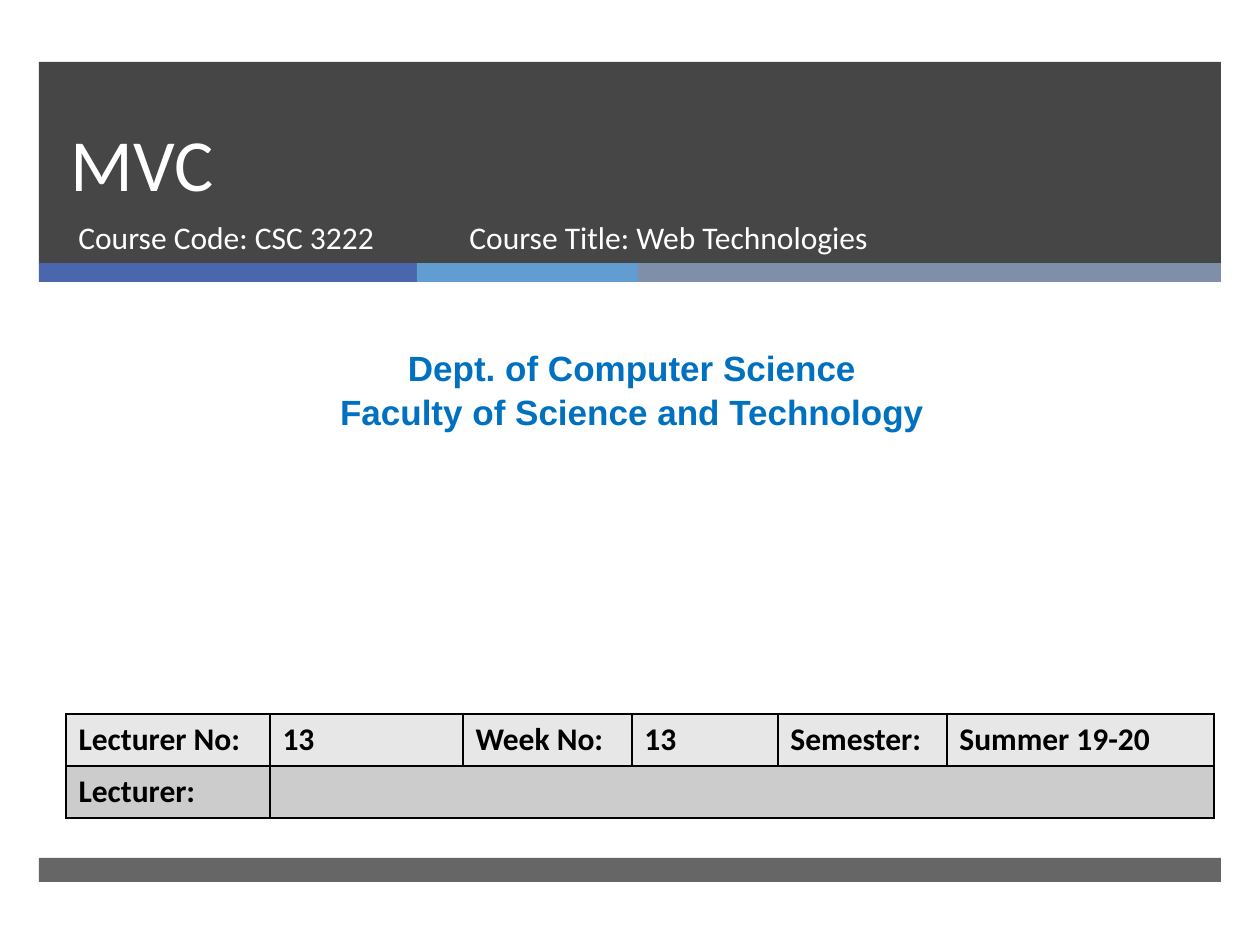
"""Build the title slide of a web technologies lecture on MVC."""
from dataclasses import dataclass

from lxml.etree import SubElement
from pptx import Presentation
from pptx.dml.color import RGBColor
from pptx.enum.shapes import MSO_SHAPE as Shape
from pptx.enum.text import MSO_ANCHOR as Anchor, PP_ALIGN as Align
from pptx.oxml import parse_xml
from pptx.oxml.ns import nsdecls, qn
from pptx.util import Pt


@dataclass(frozen=True)
class Theme:
    dark: str = "262626"
    white: str = "FFFFFF"
    black: str = "000000"
    department: str = "0070C0"
    header_row: str = "E7E7E7"
    lecturer_row: str = "CCCCCC"
    body_font: str = "Calibri"
    department_font: str = "Arial"
    title_size: int = 42
    department_size: int = 20
    body_size: int = 18


THEME = Theme()
PX = 914400 / 126
SLIDE_SIZE = (1260, 945)

TITLE = "MVC"
COURSE_LINES = [
    ("Course Code: CSC 3222", 66, 384),
    ("Course Title: Web Technologies", 457, 573),
]
DEPARTMENT = ["Dept. of Computer Science", "Faculty of Science and Technology"]

LEFT, WIDTH = 39, 1182
BANDS = [(62, 202, 85), (858, 24, 70)]
STRIPES = [("4A66AC", 378), ("629DD1", 221), ("7F8FA9", 583)]
STRIPE_TOP, STRIPE_HEIGHT = 263, 19

TABLE_ROWS = [
    (THEME.header_row, ["Lecturer No:", "13", "Week No:", "13", "Semester:", "Summer 19-20"]),
    (THEME.lecturer_row, ["Lecturer:", "", "", "", "", ""]),
]
TABLE_LEFT, TABLE_TOP, ROW_HEIGHT = 66, 714, 52
COLUMN_WIDTHS = [204, 193, 169, 146, 169, 267]


def emu(*lengths):
    return [round(length * PX) for length in lengths]


def set_font(paragraph, name, size, color, bold=False):
    font = paragraph.font
    font.name, font.size, font.bold = name, Pt(size), bold
    font.color.rgb = RGBColor.from_string(color)


def add_bar(slide, box, color, opacity=100):
    shape = slide.shapes.add_shape(Shape.RECTANGLE, *emu(*box))
    shape.shadow.inherit = False
    shape.line.fill.background()
    shape.fill.solid()
    shape.fill.fore_color.rgb = RGBColor.from_string(color)
    if opacity < 100:
        fill_color = shape.fill._xPr.find(qn("a:solidFill"))[0]
        SubElement(fill_color, qn("a:alpha"), val=str(opacity * 1000))


def add_text(slide, box, lines, name, size, color, bold=False,
             align=Align.LEFT, anchor=Anchor.TOP, spacing=None):
    frame = slide.shapes.add_textbox(*emu(*box)).text_frame
    frame.word_wrap = True
    frame.vertical_anchor = anchor
    frame.text = "\n".join(lines)
    for paragraph in frame.paragraphs:
        paragraph.alignment = align
        paragraph.line_spacing = spacing
        set_font(paragraph, name, size, color, bold)


def set_borders(cell, color):
    properties = cell._tc.get_or_add_tcPr()
    for index, side in enumerate(("lnL", "lnR", "lnT", "lnB")):
        properties.insert(index, parse_xml(
            f'<a:{side} {nsdecls("a")} w="{Pt(1)}"><a:solidFill>'
            f'<a:srgbClr val="{color}"/></a:solidFill></a:{side}>'))


def add_lecture_table(slide):
    box = (TABLE_LEFT, TABLE_TOP, sum(COLUMN_WIDTHS), ROW_HEIGHT * len(TABLE_ROWS))
    table = slide.shapes.add_table(len(TABLE_ROWS), len(COLUMN_WIDTHS), *emu(*box)).table
    for column, width in zip(table.columns, emu(*COLUMN_WIDTHS)):
        column.width = width
    for row, (color, texts) in zip(table.rows, TABLE_ROWS):
        row.height = emu(ROW_HEIGHT)[0]
        for cell, text in zip(row.cells, texts):
            cell.text = text
            set_font(cell.text_frame.paragraphs[0], THEME.body_font,
                     THEME.body_size, THEME.black, bold=True)
            cell.fill.solid()
            cell.fill.fore_color.rgb = RGBColor.from_string(color)
            set_borders(cell, THEME.black)
    table.cell(1, 1).merge(table.cell(1, len(COLUMN_WIDTHS) - 1))


def main():
    presentation = Presentation()
    presentation.slide_width, presentation.slide_height = emu(*SLIDE_SIZE)
    slide = presentation.slides.add_slide(presentation.slide_layouts[6])

    for top, height, opacity in BANDS:
        add_bar(slide, (LEFT, top, WIDTH, height), THEME.dark, opacity)
    left = LEFT
    for color, width in STRIPES:
        add_bar(slide, (left, STRIPE_TOP, width, STRIPE_HEIGHT), color)
        left += width

    add_text(slide, (58, 62, 1076, 150), [TITLE], THEME.body_font, THEME.title_size,
             THEME.white, anchor=Anchor.BOTTOM, spacing=Pt(46))
    for text, left, width in COURSE_LINES:
        add_text(slide, (left, 212, width, 67), [text], THEME.body_font,
                 THEME.body_size, THEME.white)
    add_text(slide, (10, 338, 1244, 97), DEPARTMENT, THEME.department_font,
             THEME.department_size, THEME.department, bold=True,
             align=Align.CENTER, spacing=1.05)
    add_lecture_table(slide)
    presentation.save("out.pptx")


if __name__ == "__main__":
    main()
